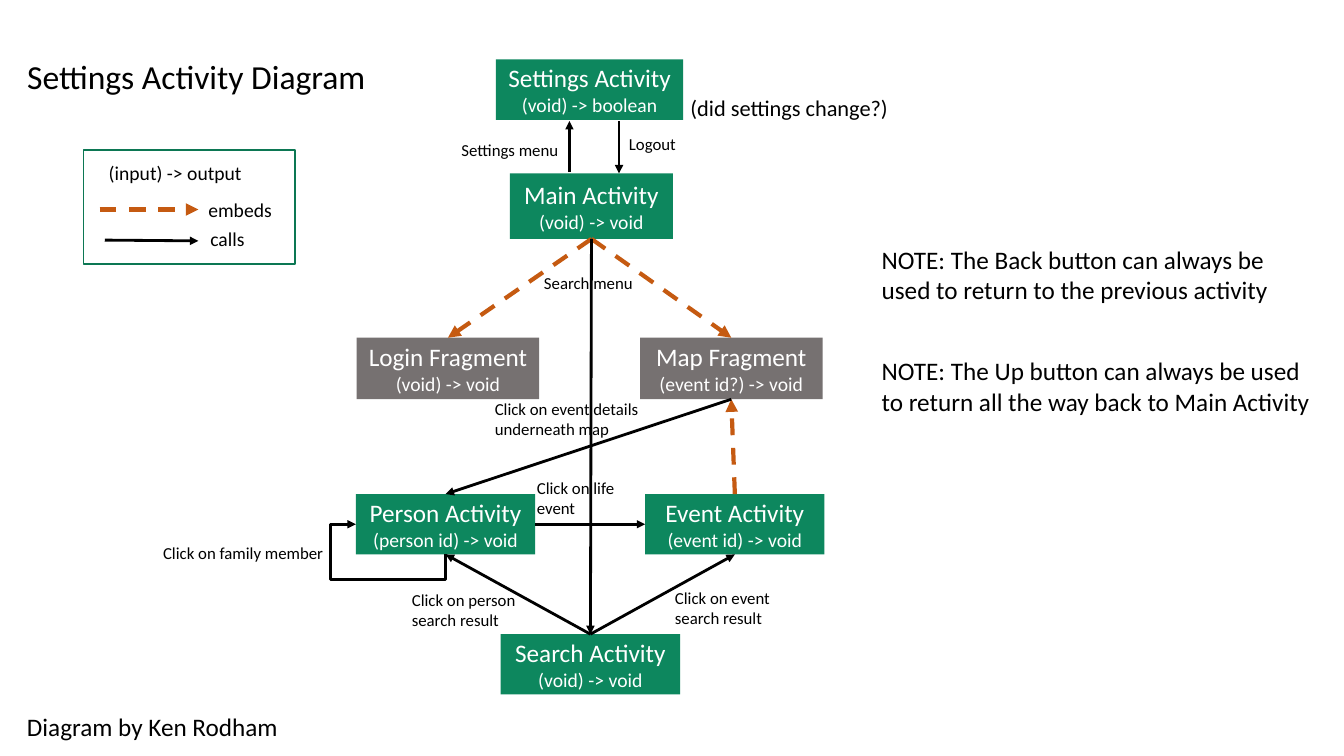
from lxml import etree
from pptx import Presentation
from pptx.dml.color import RGBColor
from pptx.enum import dml, shapes, text
from pptx.oxml import ns
from pptx.util import Cm, Pt

GREEN = RGBColor(0x0D, 0x87, 0x5E)
DARK_GREEN = RGBColor(0x0C, 0x77, 0x53)
GRAY = RGBColor(0x76, 0x71, 0x71)
ORANGE = RGBColor(0xC5, 0x5A, 0x11)
BLACK = RGBColor(0, 0, 0)
WHITE = RGBColor(0xFF, 0xFF, 0xFF)
FONT = "Calibri"
TOP, LEFT, BOTTOM, RIGHT = range(4)  # connection sites of a rectangle

TITLE = "Settings Activity Diagram"

# name: (signature, fill, left, top, width, height), lengths in cm
BOXES = {
    "Settings Activity": ("(void) -> boolean", GREEN, 12.5, 1.5, 4.72, 1.52),
    "Main Activity": ("(void) -> void", GREEN, 12.85, 4.37, 4.11, 1.65),
    "Login Fragment": ("(void) -> void", GRAY, 8.99, 8.51, 4.6, 1.55),
    "Map Fragment": ("(event id?) -> void", GRAY, 16.13, 8.51, 4.6, 1.55),
    "Person Activity": ("(person id) -> void", GREEN, 8.97, 12.45, 4.52, 1.52),
    "Event Activity": ("(event id) -> void", GREEN, 16.26, 12.45, 4.52, 1.52),
    "Search Activity": ("(void) -> void", GREEN, 12.62, 15.98, 4.52, 1.52),
}

# (from box, its site, to box, its site)
EMBEDS = [
    ("Main Activity", BOTTOM, "Login Fragment", TOP),
    ("Main Activity", BOTTOM, "Map Fragment", TOP),
    ("Event Activity", TOP, "Map Fragment", BOTTOM),
]
CALLS = [
    ("Search Activity", TOP, "Event Activity", BOTTOM),
    ("Search Activity", TOP, "Person Activity", BOTTOM),
    ("Main Activity", BOTTOM, "Search Activity", TOP),
    ("Map Fragment", BOTTOM, "Person Activity", TOP),
    ("Person Activity", RIGHT, "Event Activity", LEFT),
]

# (x1, y1, x2, y2, embeds) in cm
FREE_ARROWS = [
    (2.51, 5.28, 5.0, 5.28, True),
    (2.64, 6.05, 5.0, 6.07, False),
    (14.35, 4.34, 14.35, 3.05, False),
    (15.6, 3.05, 15.6, 4.37, False),
]
LEGEND_FRAME = (2.11, 3.78, 5.33, 2.87)

# (text, size, left, top, width, number of lines, wrap)
LABELS = [
    ("(input) -> output", 14, 2.49, 3.94, 3.91, 1, False),
    ("embeds", 14, 5.0, 4.85, 2.13, 1, False),
    ("calls", 14, 5.05, 5.59, 1.4, 1, False),
    ("(did settings change?)", 16, 17.15, 2.24, 5.56, 1, False),
    ("Logout", 12, 15.6, 3.25, 1.7, 1, False),
    ("Settings menu", 12, 11.38, 3.4, 3.0, 1, False),
    ("Search menu", 12, 13.46, 6.76, 2.77, 1, False),
    ("Click on person search result", 12, 10.13, 14.73, 3.84, 2, True),
    ("Click on event search result", 12, 16.76, 14.68, 3.84, 2, True),
    ("Click on event details\nunderneath map", 12, 12.22, 9.93, 4.17, 2, False),
    ("Click on life\nevent", 12, 13.28, 11.91, 3.23, 2, True),
    ("Click on family member", 12, 3.86, 13.54, 4.6, 1, False),
    ("NOTE: The Back button can always be\nused to return to the previous activity",
     18, 21.97, 6.02, 10.36, 2, False),
    ("NOTE: The Up button can always be used\nto return all the way back to Main Activity",
     18, 21.97, 8.84, 11.58, 2, False),
    ("Diagram by Ken Rodham", 18, 0.43, 17.81, 11.63, 1, True),
]


def write(tf, content, sizes, color=BLACK, align=text.PP_ALIGN.LEFT,
          anchor=text.MSO_ANCHOR.TOP, wrap=True, spacing=None):
    """Write one paragraph per line; sizes gives the point size of each."""
    tf.word_wrap = wrap
    tf.vertical_anchor = anchor
    for i, (line, size) in enumerate(zip(content.split("\n"), sizes)):
        p = tf.paragraphs[0] if i == 0 else tf.add_paragraph()
        p.alignment = align
        p.line_spacing = spacing
        r = p.add_run()
        r.text = line
        r.font.name, r.font.size = FONT, Pt(size)
        r.font.color.rgb = color


def add_rect(s, left, top, width, height):
    sp = s.shapes.add_shape(shapes.MSO_SHAPE.RECTANGLE,
                            *map(Cm, (left, top, width, height)))
    sp.shadow.inherit = False
    return sp


def add_arrow(s, x1, y1, x2, y2, embeds=False, kind=shapes.MSO_CONNECTOR.STRAIGHT):
    c = s.shapes.add_connector(kind, *map(Cm, (x1, y1, x2, y2)))
    c.line.color.rgb = ORANGE if embeds else BLACK
    c.line.width = Pt(3 if embeds else 2)
    if embeds:
        c.line.dash_style = dml.MSO_LINE.DASH
    ln = c.line._get_or_add_ln()
    etree.SubElement(ln, ns.qn("a:tailEnd"), type="triangle")
    etree.SubElement(c._element.spPr, ns.qn("a:effectLst"))
    return c


def add_self_call(s, name, drop=0.64, reach=0.64):
    """Loop from the bottom of a box, around its corner, into its left side."""
    left, top, width, height = BOXES[name][2:]
    run, rise = width / 2, height / 2
    cx, cy = left + run / 2, top + height * 0.75
    # The elbow is laid out upright, then turned by 90 degrees about its centre.
    c = add_arrow(s, cx + rise / 2, cy - run / 2, cx - rise / 2, cy + run / 2,
                  kind=shapes.MSO_CONNECTOR.ELBOW)
    spPr = c._element.spPr
    spPr.find(ns.qn("a:xfrm")).set("rot", "5400000")
    geom = spPr.find(ns.qn("a:prstGeom"))
    geom.set("prst", "bentConnector4")
    guides = geom.find(ns.qn("a:avLst"))
    for guide, ratio in (("adj1", -drop / rise), ("adj2", 1 + reach / run)):
        etree.SubElement(guides, ns.qn("a:gd"), name=guide,
                         fmla=f"val {round(ratio * 100000)}")


def main():
    prs = Presentation()
    prs.slide_width, prs.slide_height = Cm(33.87), Cm(19.05)
    s = prs.slides.add_slide(prs.slide_layouts[5])

    title = s.shapes.title
    title.left, title.top, title.width, title.height = map(Cm, (0.43, 0.13, 29.21, 3.68))
    write(title.text_frame, TITLE, [24], anchor=text.MSO_ANCHOR.MIDDLE, spacing=0.9)

    frame = add_rect(s, *LEGEND_FRAME)
    frame.fill.background()
    frame.line.color.rgb, frame.line.width = DARK_GREEN, Pt(1)

    boxes = {}
    for name, (signature, fill, *place) in BOXES.items():
        sp = boxes[name] = add_rect(s, *place)
        sp.fill.solid()
        sp.fill.fore_color.rgb = fill
        sp.line.fill.background()
        write(sp.text_frame, f"{name}\n{signature}", [18, 14], color=WHITE,
              align=text.PP_ALIGN.CENTER, anchor=text.MSO_ANCHOR.MIDDLE)

    for edges, embeds in ((EMBEDS, True), (CALLS, False)):
        for source, out_site, target, in_site in edges:
            c = add_arrow(s, 0, 0, 0, 0, embeds)
            c.begin_connect(boxes[source], out_site)
            c.end_connect(boxes[target], in_site)
    for arrow in FREE_ARROWS:
        add_arrow(s, *arrow)
    add_self_call(s, "Person Activity")

    for content, size, left, top, width, lines, wrap in LABELS:
        height = Cm(0.25) + Pt(size * 1.2 * lines)
        tb = s.shapes.add_textbox(Cm(left), Cm(top), Cm(width), height)
        write(tb.text_frame, content, [size] * lines, wrap=wrap)

    prs.save("out.pptx")


if __name__ == "__main__":
    main()
